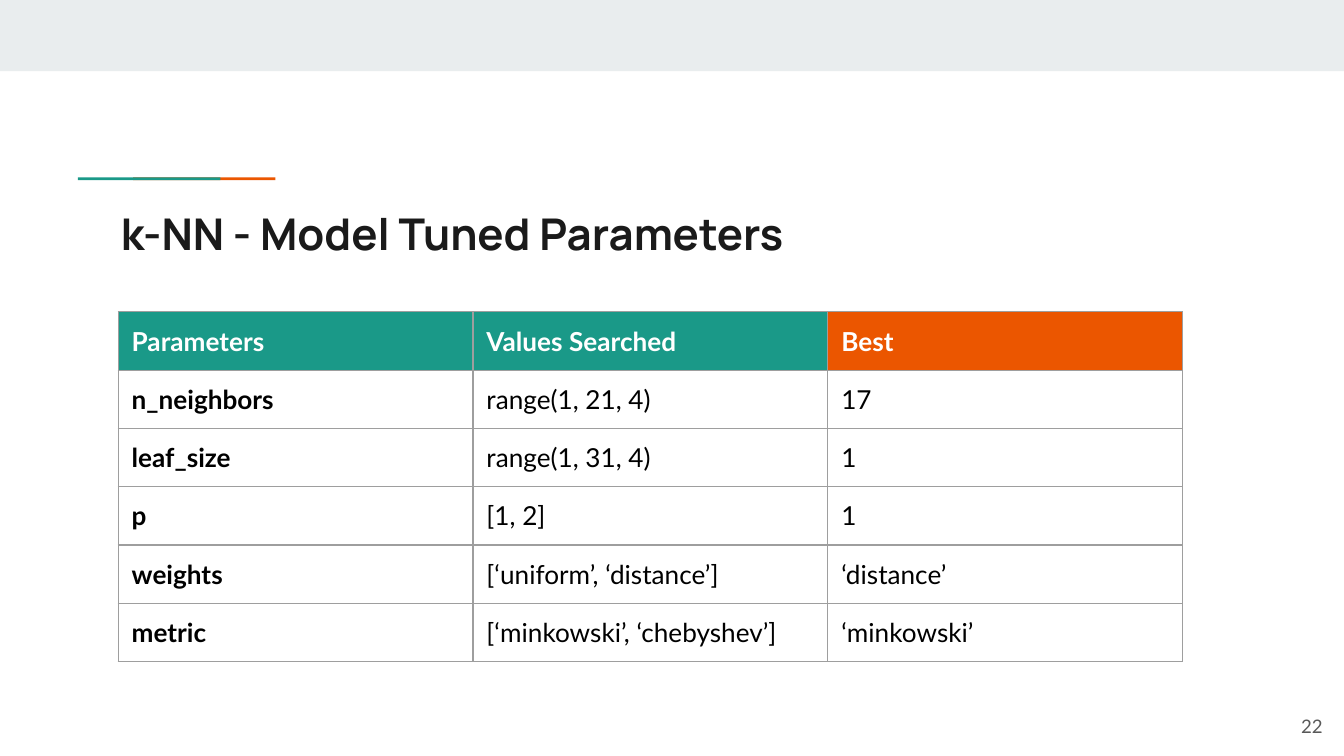
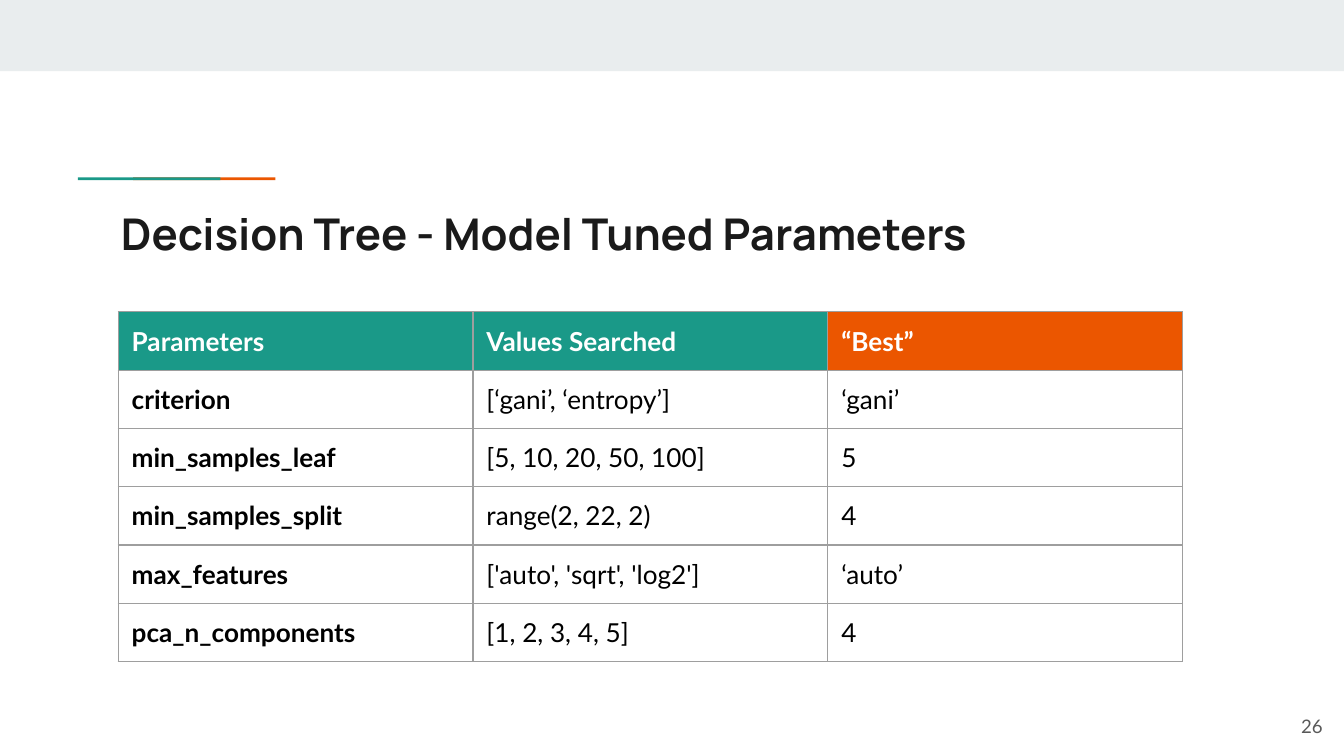
from lxml.etree import SubElement
from pptx import Presentation
from pptx.dml.color import RGBColor
from pptx.enum.shapes import MSO_SHAPE
from pptx.enum.text import MSO_ANCHOR, MSO_AUTO_SIZE, PP_ALIGN
from pptx.oxml.ns import qn
from pptx.util import Inches, Pt

BAND, TEAL, ORANGE = "E9EDEE", "1A9988", "EB5600"
WHITE, BLACK, INK, GREY, RULE = "FFFFFF", "000000", "1A1A1A", "595959", "9E9E9E"
HEADING_FONT, BODY_FONT = "Manrope", "Lato"
COLUMN_WIDTH, ROW_HEIGHT, INSET = 2.64, 0.42, 0.1
TITLE_ONLY = 5

KNN = [
    ("Parameters", "Values Searched", "Best"),
    ("n_neighbors", "range(1, 21, 4)", "17"),
    ("leaf_size", "range(1, 31, 4)", "1"),
    ("p", "[1, 2]", "1"),
    ("weights", "[‘uniform’, ‘distance’]", "‘distance’"),
    ("metric", "[‘minkowski’, ‘chebyshev’]", "‘minkowski’"),
]
DECISION_TREE = [
    ("Parameters", "Values Searched", "“Best”"),
    ("criterion", "[‘gani’, ‘entropy’]", "‘gani’"),
    ("min_samples_leaf", "[5, 10, 20, 50, 100]", "5"),
    ("min_samples_split", "range(2, 22, 2)", "4"),
    ("max_features", "['auto', 'sqrt', 'log2']", "‘auto’"),
    ("pca_n_components", "[1, 2, 3, 4, 5]", "4"),
]


def color(value):
    return RGBColor.from_string(value)


def set_insets(target):
    target.margin_left = target.margin_right = Inches(INSET)
    target.margin_top = target.margin_bottom = Inches(INSET)


def format_text(frame, font, size, ink, bold=False, align=PP_ALIGN.LEFT):
    for paragraph in frame.paragraphs:
        paragraph.alignment = align
        for run in paragraph.runs:
            run.font.name = font
            run.font.size = Pt(size)
            run.font.bold = bold
            run.font.color.rgb = color(ink)


def draw_borders(cell):
    properties = cell._tc.get_or_add_tcPr()
    for side in ("a:lnL", "a:lnR", "a:lnT", "a:lnB"):
        line = SubElement(properties, qn(side), w=str(Pt(0.75)))
        fill = SubElement(line, qn("a:solidFill"))
        SubElement(fill, qn("a:srgbClr"), val=RULE)


class Deck:
    def __init__(self):
        self.presentation = Presentation()
        self.presentation.slide_width = Inches(10)
        self.presentation.slide_height = Inches(10 * 9 / 16)
        self.slide = None

    def start_slide(self, title, number):
        layout = self.presentation.slide_layouts[TITLE_ONLY]
        self.slide = self.presentation.slides.add_slide(layout)
        self.bar(0, 0, 10, 0.53, BAND)
        self.bar(0.99, 1.32, 1.06, 0.02, ORANGE)
        self.bar(0.58, 1.32, 1.06, 0.02, TEAL)
        self.title(title)
        self.page_number(number)

    def bar(self, left, top, width, height, fill):
        bar = self.slide.shapes.add_shape(
            MSO_SHAPE.RECTANGLE, Inches(left), Inches(top), Inches(width), Inches(height)
        )
        bar.shadow.inherit = False
        bar.fill.solid()
        bar.fill.fore_color.rgb = color(fill)
        bar.line.fill.background()

    def title(self, text):
        heading = self.slide.shapes.title
        heading.left, heading.top = Inches(0.8), Inches(1.44)
        heading.width, heading.height = Inches(8.41), Inches(0.59)
        frame = heading.text_frame
        frame.text = text
        frame.word_wrap = True
        frame.auto_size = MSO_AUTO_SIZE.NONE
        frame.vertical_anchor = MSO_ANCHOR.TOP
        set_insets(frame)
        format_text(frame, HEADING_FONT, 23.4, INK, bold=True)

    def page_number(self, number):
        footer = self.slide.shapes.add_textbox(
            Inches(9.34), Inches(5.19), Inches(0.6), Inches(0.43)
        )
        frame = footer.text_frame
        frame.text = str(number)
        frame.word_wrap = True
        frame.vertical_anchor = MSO_ANCHOR.MIDDLE
        set_insets(frame)
        format_text(frame, BODY_FONT, 10, GREY, align=PP_ALIGN.RIGHT)

    def parameter_table(self, rows):
        columns = len(rows[0])
        table = self.slide.shapes.add_table(
            len(rows), columns, Inches(0.88), Inches(2.32),
            Inches(COLUMN_WIDTH * columns), Inches(ROW_HEIGHT * len(rows)),
        ).table
        table.first_row = table.horz_banding = False
        for column in table.columns:
            column.width = Inches(COLUMN_WIDTH)
        for row_index, values in enumerate(rows):
            table.rows[row_index].height = Inches(ROW_HEIGHT)
            for column_index, value in enumerate(values):
                self.cell(table.cell(row_index, column_index), value,
                          is_header=row_index == 0,
                          is_name=column_index == 0,
                          is_best=column_index == columns - 1)

    def cell(self, cell, value, is_header, is_name, is_best):
        cell.text_frame.text = value
        set_insets(cell)
        draw_borders(cell)
        if is_header:
            cell.fill.solid()
            cell.fill.fore_color.rgb = color(ORANGE if is_best else TEAL)
        else:
            cell.fill.background()
        format_text(cell.text_frame, BODY_FONT, 14,
                    WHITE if is_header else BLACK, bold=is_header or is_name)


def main():
    deck = Deck()
    for model, number, rows in (("k-NN", 22, KNN), ("Decision Tree", 26, DECISION_TREE)):
        deck.start_slide(f"{model} - Model Tuned Parameters", number)
        deck.parameter_table(rows)
    deck.presentation.save("out.pptx")


if __name__ == "__main__":
    main()
